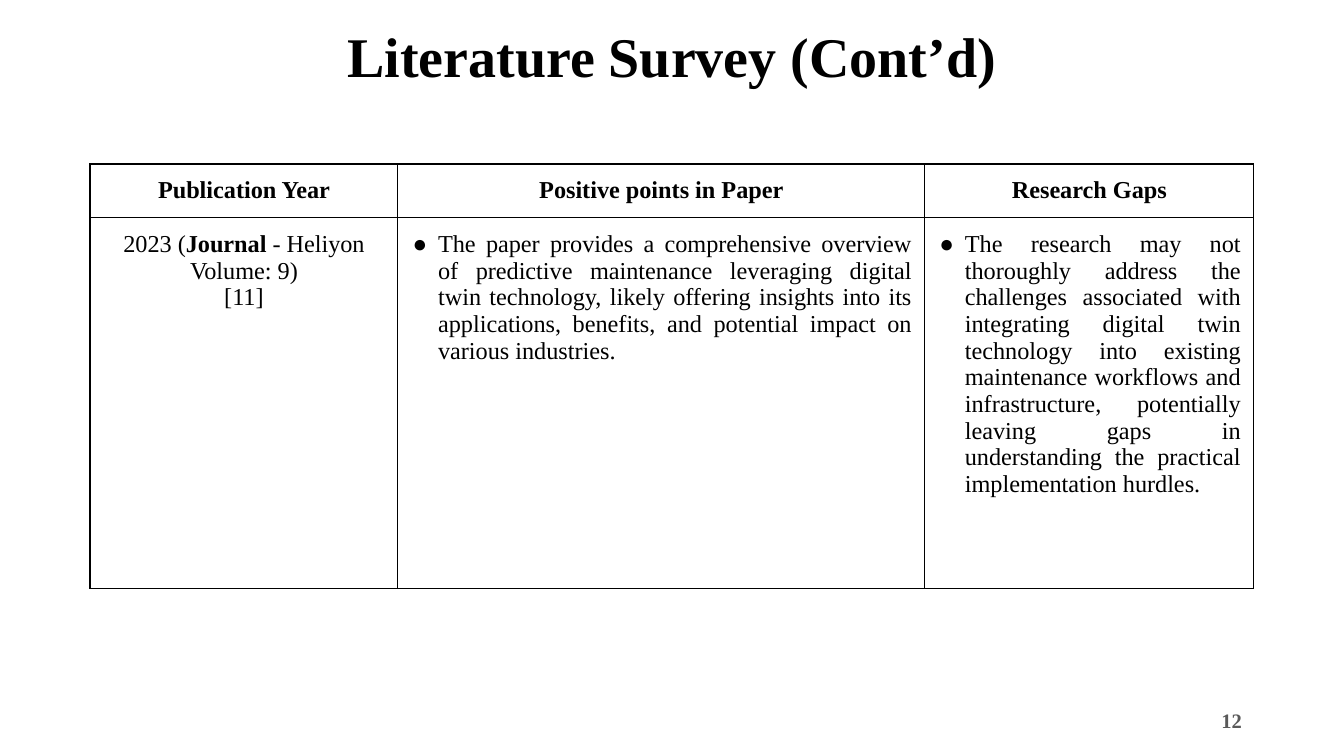
"""Build the literature survey slide with its table of papers."""
from lxml import etree
from pptx import Presentation
from pptx import util as u
from pptx.dml.color import RGBColor
from pptx.enum import text
from pptx.oxml.ns import qn

FONT = "Times New Roman"
BLACK = RGBColor(0x00, 0x00, 0x00)
GREY = RGBColor(0x59, 0x59, 0x59)
WHITE = RGBColor(0xFF, 0xFF, 0xFF)
ALIGN = text.PP_ALIGN

WIDTH = 10
HEIGHT = WIDTH * 9 / 16
COLUMNS = [2.29, 3.92, 2.45]
ROWS = [0.39, 2.76]
HEADERS = ["Publication Year", "Positive points in Paper", "Research Gaps"]
PUBLICATION = [
    [("2023 (", False), ("Journal", True), (" - Heliyon", False)],
    [("Volume: 9)", False)],
    [("[11]", False)],
]
POSITIVES = (
    "The paper provides a comprehensive overview of predictive maintenance "
    "leveraging digital twin technology, likely offering insights into its "
    "applications, benefits, and potential impact on various industries."
)
GAPS = (
    "The research may not thoroughly address the challenges associated with "
    "integrating digital twin technology into existing maintenance workflows "
    "and infrastructure, potentially leaving gaps in understanding the "
    "practical implementation hurdles."
)


def add_run(p, words, size, bold, color=BLACK):
    r = p.add_run()
    r.text = words
    r.font.name = FONT
    r.font.size = u.Pt(size)
    r.font.bold = bold
    r.font.color.rgb = color


def set_insets(tf, across, down):
    tf.margin_left = tf.margin_right = u.Inches(across)
    tf.margin_top = tf.margin_bottom = u.Inches(down)


def add_bullet(p):
    pPr = p._p.get_or_add_pPr()
    pPr.set("marL", str(u.Inches(0.2)))
    pPr.set("indent", str(u.Inches(-0.19)))
    color = etree.SubElement(pPr, qn("a:buClr"))
    etree.SubElement(color, qn("a:srgbClr"), val=str(BLACK))
    etree.SubElement(pPr, qn("a:buFont"), typeface=FONT)
    etree.SubElement(pPr, qn("a:buChar"), char="●")


def add_borders(cell):
    tcPr = cell._tc.get_or_add_tcPr()
    for side in ("lnL", "lnR", "lnT", "lnB"):
        ln = etree.SubElement(tcPr, qn(f"a:{side}"), w=str(u.Pt(0.75)))
        fill = etree.SubElement(ln, qn("a:solidFill"))
        etree.SubElement(fill, qn("a:srgbClr"), val=str(BLACK))


def fill_cell(cell, paragraphs, bulleted=False):
    add_borders(cell)
    cell.fill.background()
    set_insets(cell, 0.1, 0.1)
    tf = cell.text_frame
    for i, runs in enumerate(paragraphs):
        p = tf.add_paragraph() if i else tf.paragraphs[0]
        p.alignment = ALIGN.CENTER
        if bulleted:
            add_bullet(p)
            p.alignment = ALIGN.JUSTIFY
            p.space_after = u.Pt(10)
        for words, bold in runs:
            add_run(p, words, 13, bold)


def add_title(s, words):
    sp = s.shapes.title
    sp.left, sp.top = u.Inches(0.69), u.Inches(0.18)
    sp.width, sp.height = u.Inches(8.62), u.Inches(0.73)
    sp.line.color.rgb = WHITE
    sp.line.width = u.Pt(0.75)
    tf = sp.text_frame
    tf.auto_size = text.MSO_AUTO_SIZE.NONE
    tf.vertical_anchor = text.MSO_ANCHOR.TOP
    set_insets(tf, 0.07, 0.04)
    p = tf.paragraphs[0]
    p.alignment = ALIGN.CENTER
    p.line_spacing = 0.9
    add_run(p, words, 30, True)


def add_survey_table(s):
    frame = s.shapes.add_table(
        len(ROWS), len(COLUMNS), u.Inches(0.67), u.Inches(1.22),
        u.Inches(sum(COLUMNS)), u.Inches(sum(ROWS)))
    table = frame.table
    table.first_row = table.horz_banding = False
    for column, width in zip(table.columns, COLUMNS):
        column.width = u.Inches(width)
    for row, height in zip(table.rows, ROWS):
        row.height = u.Inches(height)
    for i, header in enumerate(HEADERS):
        fill_cell(table.cell(0, i), [[(header, True)]])
    fill_cell(table.cell(1, 0), PUBLICATION)
    for i, point in enumerate((POSITIVES, GAPS), start=1):
        fill_cell(table.cell(1, i), [[(point, False)]], bulleted=True)


def add_page_number(s, number):
    sp = s.shapes.add_textbox(
        u.Inches(7.06), u.Inches(5.21), u.Inches(2.25), u.Inches(0.3))
    tf = sp.text_frame
    tf.word_wrap = True
    tf.vertical_anchor = text.MSO_ANCHOR.MIDDLE
    set_insets(tf, 0.07, 0.04)
    p = tf.paragraphs[0]
    p.alignment = ALIGN.RIGHT
    add_run(p, number, 11, True, GREY)


def main():
    prs = Presentation()
    prs.slide_width, prs.slide_height = u.Inches(WIDTH), u.Inches(HEIGHT)
    s = prs.slides.add_slide(prs.slide_layouts[5])
    add_survey_table(s)
    add_page_number(s, "12")
    add_title(s, "Literature Survey (Cont’d)")
    prs.save("out.pptx")


if __name__ == "__main__":
    main()
